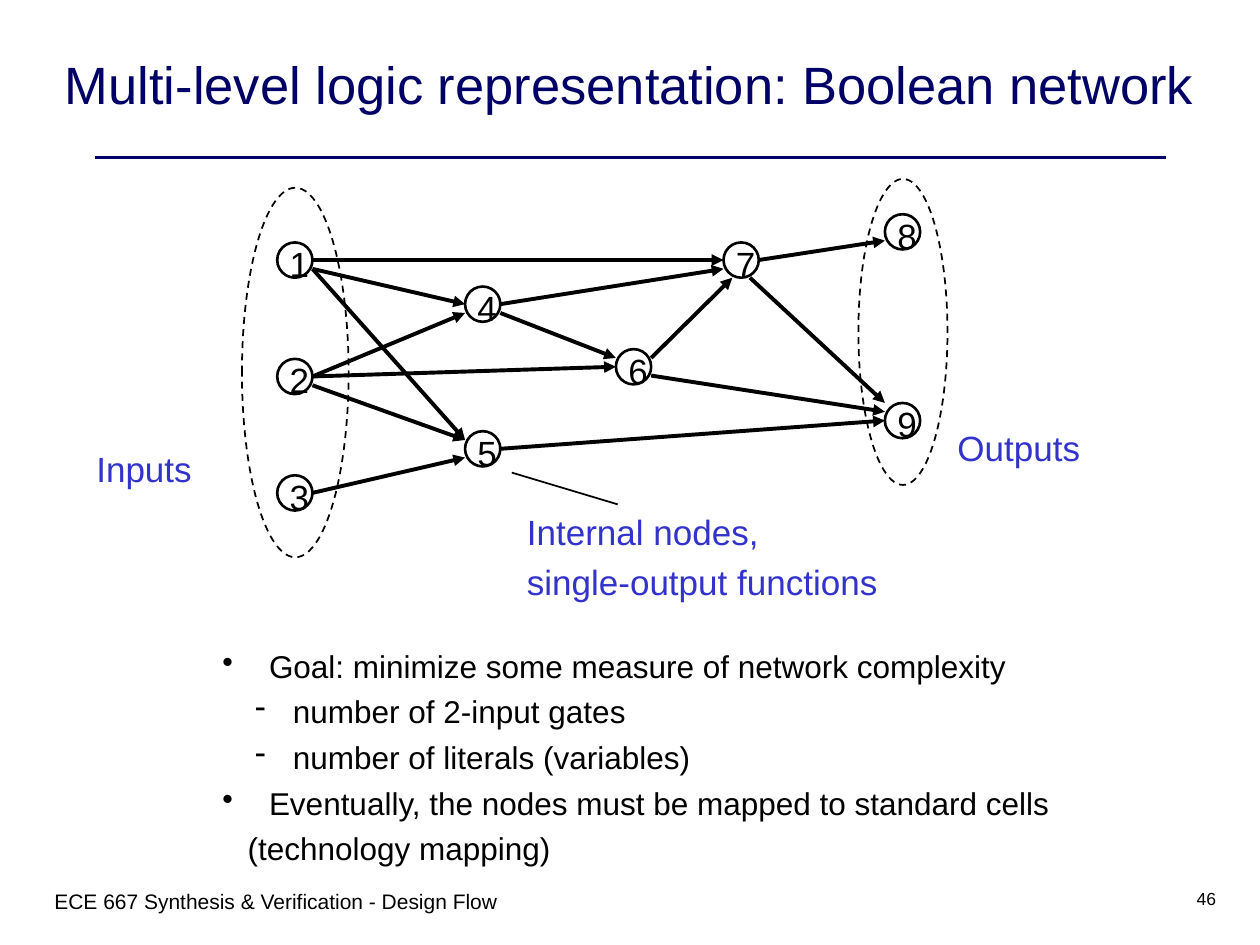
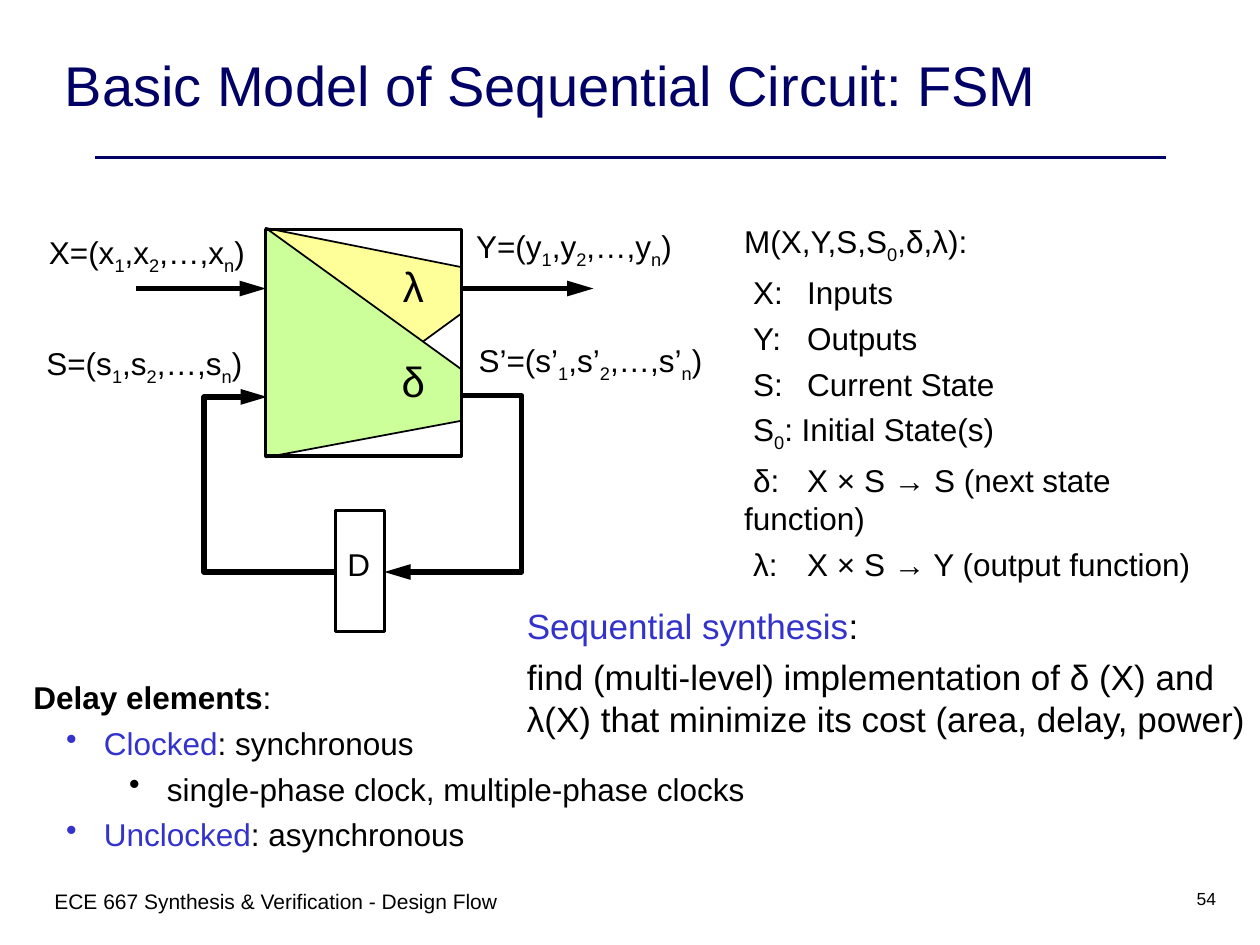
from dataclasses import dataclass

from lxml import etree
from pptx import Presentation
from pptx import util as u
from pptx.dml.color import RGBColor
from pptx.enum import dml, shapes, text
from pptx.oxml import ns


@dataclass(frozen=True)
class Theme:
    """Colours, font and type sizes of the deck."""
    font: str = "Arial"
    ink: str = "000000"
    navy: str = "000066"
    accent: str = "3333CC"
    yellow: str = "FFFF99"
    green: str = "CCFF99"
    number: int = 10
    footer: int = 12
    body: int = 18
    label: int = 20
    symbol: int = 24
    space_share: float = 0.25


THEME = Theme()


@dataclass(frozen=True)
class Grid:
    """A box in inches, divided into columns and rows."""
    left: float
    top: float
    width: float
    height: float
    columns: int
    rows: int

    def point(self, column, row):
        """Return the slide position of a grid point."""
        return (u.Inches(self.left + column * self.width / self.columns),
                u.Inches(self.top + row * self.height / self.rows))

    def frame(self, column, row, columns, rows):
        """Return left, top, width and height of a span of cells."""
        return (*self.point(column, row),
                u.Inches(columns * self.width / self.columns),
                u.Inches(rows * self.height / self.rows))


@dataclass(frozen=True)
class Entry:
    """One paragraph: its pieces, margins in inches, bullet and tab stop."""
    pieces: object
    margin: float = 0
    first: float = 0
    bullet: str = ""
    tab: float = 0


PAGE = Grid(0, 0, 10, 7.5, 120, 90)
NETWORK = Grid(1.92, 1.42, 5.6, 3.01, 80, 43)
CIRCUIT = Grid(0.27, 1.75, 5.4, 3.3, 54, 33)


def bulleted(pieces, level=0, bullet="•"):
    """Return a bulleted entry of the given level."""
    if level == 0:
        return Entry(pieces, 0.37, -0.37, bullet)
    return Entry(pieces, 0.06 + 0.5 * level, -0.3, bullet)


def definition(term, meaning):
    """Return an entry that lines up a term and its meaning."""
    return Entry(f"{term}:\t{meaning}", first=0.07, tab=0.44)


def split_subscripts(piece):
    """Split text so that the letter after each underscore is lowered."""
    head, *tails = piece.split("_")
    parts = [(head, False)]
    for tail in tails:
        parts += [(tail[0], True), (tail[1:], False)]
    return [part for part in parts if part[0]]


def set_layout(paragraph, entry):
    """Apply margins, bullet and tab stop to a paragraph."""
    properties = paragraph._p.get_or_add_pPr()
    properties.set("marL", str(u.Inches(entry.margin)))
    properties.set("indent", str(u.Inches(entry.first)))
    if entry.bullet:
        etree.SubElement(properties, ns.qn("a:buChar"), char=entry.bullet)
    if entry.tab:
        tabs = etree.SubElement(properties, ns.qn("a:tabLst"))
        etree.SubElement(tabs, ns.qn("a:tab"), pos=str(u.Inches(entry.tab)), algn="l")


def write_runs(paragraph, pieces, size, color):
    """Write the pieces of a paragraph, each a string or a styled pair."""
    for piece in [pieces] if isinstance(pieces, str) else pieces:
        words, style = (piece, "") if isinstance(piece, str) else piece
        for part, lowered in split_subscripts(words):
            run = paragraph.add_run()
            run.text = part
            run.font.name, run.font.size = THEME.font, u.Pt(size)
            run.font.bold = style == "bold"
            run.font.color.rgb = RGBColor.from_string(
                THEME.accent if style == "accent" else color)
            if lowered:
                run._r.get_or_add_rPr().set("baseline", "-25000")


def add_text(slide, frame, entries, size, color=THEME.ink,
             align=text.PP_ALIGN.LEFT, anchor=text.MSO_ANCHOR.TOP):
    """Add a text box of one or more entries."""
    text_frame = slide.shapes.add_textbox(*frame).text_frame
    text_frame.word_wrap = True
    text_frame.vertical_anchor = anchor
    for index, entry in enumerate([entries] if isinstance(entries, str) else entries):
        entry = Entry(entry) if isinstance(entry, str) else entry
        paragraph = text_frame.add_paragraph() if index else text_frame.paragraphs[0]
        set_layout(paragraph, entry)
        paragraph.alignment = align
        paragraph.space_before = u.Pt(size * THEME.space_share if index else 0)
        write_runs(paragraph, entry.pieces, size, color)


def style_outline(shape, weight, color=THEME.ink, arrow=""):
    """Set the line of a shape, with an arrowhead of the given length."""
    shape.line.color.rgb = RGBColor.from_string(color)
    shape.line.width = u.Pt(weight)
    if arrow:
        outline = shape.element.spPr.find(ns.qn("a:ln"))
        etree.SubElement(outline, ns.qn("a:tailEnd"), type="triangle", w="med", len=arrow)


def add_line(slide, start, end, weight, color=THEME.ink, arrow=""):
    """Add a straight line or arrow."""
    line = slide.shapes.add_connector(shapes.MSO_CONNECTOR.STRAIGHT, *start, *end)
    style_outline(line, weight, color, arrow)
    etree.SubElement(line.element.spPr, ns.qn("a:effectLst"))


def add_outline(slide, kind, frame, weight, dashed=False):
    """Add an unfilled preset shape."""
    shape = slide.shapes.add_shape(kind, *frame)
    shape.shadow.inherit = False
    shape.fill.background()
    style_outline(shape, weight)
    if dashed:
        shape.line.dash_style = dml.MSO_LINE.DASH


def add_path(slide, grid, points, weight, fill="", arrow=""):
    """Add a filled polygon, or an open wire when there is no fill."""
    start, *others = [grid.point(*point) for point in points]
    builder = slide.shapes.build_freeform(*start)
    builder.add_line_segments(others, close=bool(fill))
    shape = builder.convert_to_shape()
    shape.shadow.inherit = False
    if fill:
        shape.fill.solid()
        shape.fill.fore_color.rgb = RGBColor.from_string(fill)
    else:
        shape.fill.background()
    style_outline(shape, weight, arrow=arrow)


def add_page(presentation, title, size, number):
    """Add a slide with the shared title, rule and footer."""
    slide = presentation.slides.add_slide(presentation.slide_layouts[6])
    add_line(slide, PAGE.point(9, 15), PAGE.point(111, 15), 2.25, THEME.navy)
    add_text(slide, PAGE.frame(4, 84, 54, 6),
             "ECE 667 Synthesis & Verification - Design Flow", THEME.footer)
    add_text(slide, PAGE.frame(92, 84, 25, 6), str(number), THEME.number,
             align=text.PP_ALIGN.RIGHT)
    add_text(slide, PAGE.frame(5, 2, 110, 12), title, size, THEME.navy,
             anchor=text.MSO_ANCHOR.MIDDLE)
    return slide


def draw_network(slide, grid):
    """Draw the numbered nodes, their arrows and the dashed groups."""
    nodes = {1: (6, 9.2), 2: (6, 22.4), 3: (6, 35.6), 4: (27.3, 14.2),
             5: (27.3, 30.6), 6: (44.4, 21.3), 7: (56.6, 9.2),
             8: (74.9, 6), 9: (74.9, 27.4)}
    ports = {"right": (2, 0), "right high": (2, -1), "right low": (2, 1),
             "left": (-2, 0), "left high": (-2, -1), "left low": (-2, 1),
             "bottom left": (-1, 2), "bottom right": (1, 2), "top left": (-2, -2)}
    edges = [(1, "right low", 4, "left"), (2, "right", 4, "left low"),
             (3, "right", 5, "left low"), (1, "right", 7, "left"),
             (4, "right low", 6, "left high"), (2, "right", 6, "left"),
             (1, "right low", 5, "left high"), (5, "right", 9, "left"),
             (7, "right", 8, "left low"), (6, "right high", 7, "bottom left"),
             (4, "right", 7, "left low"), (6, "right low", 9, "left high"),
             (2, "right low", 5, "left high"), (7, "bottom right", 9, "top left")]

    def port(node, name):
        """Return the position of a port of a node."""
        return grid.point(*map(sum, zip(nodes[node], ports[name])))

    oval = shapes.MSO_SHAPE.OVAL
    for group in [(0, 1, 12.1, 41.9), (69.9, 0, 10.1, 34.7)]:
        add_outline(slide, oval, grid.frame(*group), 1, dashed=True)
    for number, (column, row) in nodes.items():
        add_outline(slide, oval, grid.frame(column - 2, row - 2, 4, 4), 1.5)
        add_text(slide, grid.frame(column - 2, row - 2.7, 6, 6), str(number), THEME.label)
    for source, leaving, target, entering in edges:
        add_line(slide, port(source, leaving), port(target, entering), 2.25, arrow="med")
    add_line(slide, grid.point(42.6, 36.9), grid.point(30.6, 33.3), 1)


def build_network_slide(presentation):
    """Build the slide on Boolean networks."""
    slide = add_page(presentation,
                     "Multi-level logic representation: Boolean network", 30, 46)
    draw_network(slide, NETWORK)
    for frame, lines in [((8, 42, 13, 5), ["Inputs"]),
                         ((90, 40, 15, 5), ["Outputs"]),
                         ((49, 48, 37, 10),
                          ["Internal nodes,", "single-output functions"])]:
        add_text(slide, PAGE.frame(*frame), lines, THEME.label, THEME.accent)
    add_text(slide, PAGE.frame(20, 61, 88, 22), [
        bulleted("Goal: minimize some measure of network complexity"),
        bulleted("number of 2-input gates", 1, "-"),
        bulleted("number of literals (variables)", 1, "-"),
        bulleted("Eventually, the nodes must be mapped to standard cells"),
        Entry("(technology mapping)", margin=0.2)], THEME.body)


def draw_circuit(slide, grid):
    """Draw the logic block, the register, the wires and their labels."""
    left, right, apex, wire_row, loop_row = 18.4, 33.9, 0.6, 5.4, 27.9
    add_path(slide, grid, [(left, 18.7), (right, 7.4), (right, 3.7), (left, apex)],
             1, THEME.yellow)
    add_path(slide, grid, [(left, apex), (right, 11.8), (right, 15.9), (left, 18.8)],
             1, THEME.green)
    for frame in [(left, 0.7, right - left, 18), (23.9, 23, 3.9, 9.6)]:
        add_outline(slide, shapes.MSO_SHAPE.RECTANGLE, grid.frame(*frame), 1.75)
    for wire in [[(right, 13.9), (38.7, 13.9), (38.7, loop_row), (27.8, loop_row)],
                 [(23.8, loop_row), (13.5, loop_row), (13.5, 14), (18.5, 14)]]:
        add_path(slide, grid, wire, 3, arrow="lg")
    for start, end in [(8.1, left), (34, 44.4)]:
        add_line(slide, grid.point(start, wire_row), grid.point(end, wire_row), 3,
                 arrow="lg")
    for column, row, width, label, size in [
            (0.2, 0.5, 18, "X=(x_1,x_2,…,x_n)", THEME.body),
            (34.1, 0, 18, "Y=(y_1,y_2,…,y_n)", THEME.body),
            (0, 9.3, 18, "S=(s_1,s_2,…,s_n)", THEME.body),
            (34.3, 9.1, 21, "S’=(s’_1,s’_2,…,s’_n)", THEME.body),
            (28.3, 2.7, 5, "λ", THEME.symbol),
            (28.2, 10.2, 5, "δ", THEME.symbol),
            (23.9, 25.3, 5, "D", THEME.body)]:
        add_text(slide, grid.frame(column, row, width, 4.4), label, size)


def build_fsm_slide(presentation):
    """Build the slide on the sequential circuit model."""
    slide = add_page(presentation, "Basic Model of Sequential Circuit: FSM", 32, 54)
    draw_circuit(slide, CIRCUIT)
    add_text(slide, PAGE.frame(69.7, 20.6, 48.6, 35.5), [
        "M(X,Y,S,S_0,δ,λ):",
        definition("X", "Inputs"),
        definition("Y", "Outputs"),
        definition("S", "Current State"),
        Entry("S_0: Initial State(s)", first=0.07),
        definition("δ", "X × S → S (next state function)"),
        definition("λ", "X × S → Y (output function)")], THEME.body)
    add_text(slide, PAGE.frame(2, 64, 72, 18), [
        Entry([("Delay elements", "bold"), ":"]),
        bulleted([("Clocked", "accent"), ": synchronous"], 1),
        bulleted("single-phase clock, multiple-phase clocks", 2),
        bulleted([("Unclocked", "accent"), ": asynchronous"], 1)], THEME.body)
    add_text(slide, PAGE.frame(49, 57, 71, 18), [
        Entry([("Sequential synthesis", "accent"), ":"]),
        "find (multi-level) implementation of δ (X) and λ(X) "
        "that minimize its cost (area, delay, power)"], THEME.label)


def main():
    """Build and save the deck."""
    presentation = Presentation()
    presentation.slide_width, presentation.slide_height = u.Inches(10), u.Inches(7.5)
    build_network_slide(presentation)
    build_fsm_slide(presentation)
    presentation.save("out.pptx")


if __name__ == "__main__":
    main()
